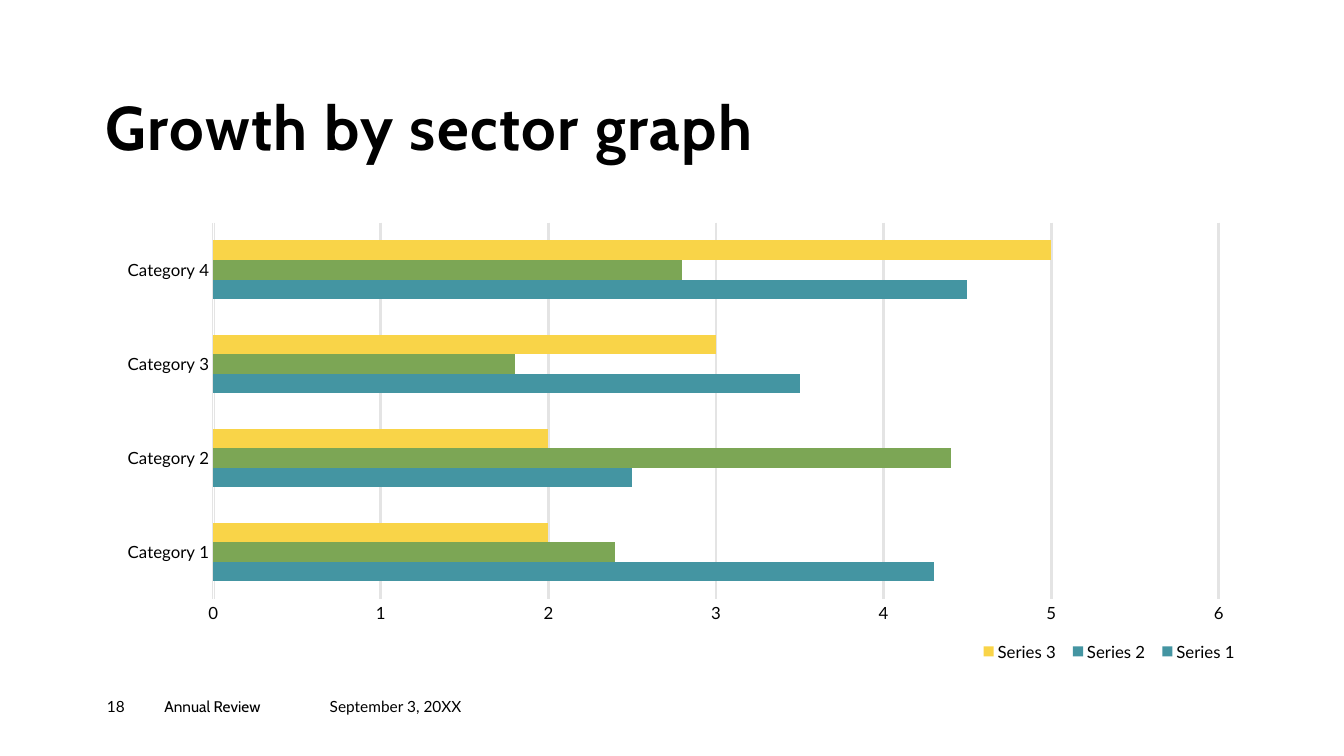
from dataclasses import dataclass

from lxml import etree
from pptx import Presentation
from pptx import util as u
from pptx.chart.data import CategoryChartData
from pptx.dml.color import RGBColor
from pptx.enum import chart as ch, text
from pptx.oxml import ns

BLACK, WHITE, GRID = "000000", "FFFFFF", "E4E4E4"
HEADING, BODY = "Cabin", "Lato"
CATEGORIES = [f"Category {n}" for n in range(1, 5)]


@dataclass
class Sector:
    name: str
    values: tuple[float, ...]
    color: str
    bar_color: str | None = None  # differs from the legend key when given


@dataclass
class FooterItem:
    words: str
    left: float
    width: float
    font: str


SECTORS = [
    Sector("Series 1", (4.3, 2.5, 3.5, 4.5), "4495A2"),
    Sector("Series 2", (2.4, 4.4, 1.8, 2.8), "4495A2", "7CA655"),
    Sector("Series 3", (2, 2, 3, 5), "F9D448"),
]
FOOTER = [
    FooterItem("18", 1.06, 0.57, BODY),
    FooterItem("Annual Review", 1.63, 1.64, HEADING),
    FooterItem("September 3, 20XX", 3.27, 1.44, BODY),
]


def rgb(value: str) -> RGBColor:
    return RGBColor.from_string(value)


def format_font(font, name: str, size: float, **values) -> None:
    for key, value in {"name": name, "size": u.Pt(size), **values}.items():
        setattr(font, key, value)
    font.color.rgb = rgb(BLACK)


def format_frame(tf, anchor) -> None:
    values = dict(margin_left=0, margin_top=0, margin_right=0, margin_bottom=0,
                  word_wrap=True, auto_size=text.MSO_AUTO_SIZE.NONE,
                  vertical_anchor=anchor)
    for key, value in values.items():
        setattr(tf, key, value)


def paint(fill, color: str) -> None:
    fill.solid()
    fill.fore_color.rgb = rgb(color)


def set_layout(element, after: str, x: float, y: float, w: float, h: float,
               inner: bool = False) -> None:
    """Place a chart part by fractions of the chart's size."""
    for old in element.findall(ns.qn("c:layout")):
        element.remove(old)
    layout = etree.Element(ns.qn("c:layout"))
    manual = etree.SubElement(layout, ns.qn("c:manualLayout"))
    values = {"layoutTarget": "inner"} if inner else {}
    values |= {"xMode": "edge", "yMode": "edge", "x": x, "y": y, "w": w, "h": h}
    for key, value in values.items():
        etree.SubElement(manual, ns.qn(f"c:{key}")).set("val", str(value))
    previous = element.find(ns.qn(after)) if after else None
    element.insert(0 if previous is None else element.index(previous) + 1, layout)


def add_title(s, words: str) -> None:
    sp = s.shapes.title
    for key, value in dict(left=1.05, top=0.22, width=11.32, height=1.41).items():
        setattr(sp, key, u.Inches(value))
    tf = sp.text_frame
    format_frame(tf, text.MSO_ANCHOR.BOTTOM)
    p = tf.paragraphs[0]
    p.alignment, p.line_spacing = text.PP_ALIGN.LEFT, 0.9
    r = p.add_run()
    r.text = words
    format_font(r.font, HEADING, 44, bold=True)
    r._r.get_or_add_rPr().set("spc", "100")


def add_growth_chart(s) -> None:
    data = CategoryChartData()
    data.categories = CATEGORIES
    for sector in SECTORS:
        data.add_series(sector.name, sector.values)
    chart = s.shapes.add_chart(
        ch.XL_CHART_TYPE.BAR_CLUSTERED, u.Inches(1.04), u.Inches(2.12),
        u.Inches(11.32), u.Inches(4.5), data).chart
    chart.has_title = False
    format_font(chart.font, BODY, 10)

    # Bars
    plot = chart.plots[0]
    plot.gap_width, plot.overlap, plot.vary_by_categories = 182, 0, False
    for series, sector in zip(plot.series, SECTORS):
        paint(series.format.fill, sector.color)
        if sector.bar_color:
            for i in range(len(sector.values)):
                paint(series.points[i].format.fill, sector.bar_color)

    # Axes and grid
    for axis in (chart.category_axis, chart.value_axis):
        axis.major_tick_mark = axis.minor_tick_mark = ch.XL_TICK_MARK.NONE
        format_font(axis.tick_labels.font, BODY, 12)
    cat_line = chart.category_axis.format.line
    paint(cat_line.fill, WHITE)
    cat_line.width = u.Pt(0.75)
    values = chart.value_axis
    values.minimum_scale, values.maximum_scale, values.major_unit = 0, 6, 1
    values.format.line.fill.background()
    values.has_major_gridlines = True
    grid_line = values.major_gridlines.format.line
    paint(grid_line.fill, GRID)
    grid_line.width = u.Pt(2)

    # Legend and plot position
    chart.has_legend = True
    legend = chart.legend
    legend.position = ch.XL_LEGEND_POSITION.BOTTOM
    legend.include_in_layout = False
    format_font(legend.font, BODY, 12)
    set_layout(legend._element, "c:legendPos", 0.76, 0.93, 0.24, 0.07)
    plot_area = chart._chartSpace.chart.plotArea
    set_layout(plot_area, "", 0.095, 0.02, 0.881, 0.83, inner=True)


def add_footer_item(s, item: FooterItem) -> None:
    sp = s.shapes.add_textbox(u.Inches(item.left), u.Inches(6.92),
                              u.Inches(item.width), u.Inches(0.27))
    tf = sp.text_frame
    format_frame(tf, text.MSO_ANCHOR.TOP)
    r = tf.paragraphs[0].add_run()
    r.text = item.words
    format_font(r.font, item.font, 11)


def main() -> None:
    prs = Presentation()
    prs.slide_width, prs.slide_height = u.Inches(13.33), u.Inches(7.5)
    s = prs.slides.add_slide(prs.slide_layouts[5])
    paint(s.background.fill, WHITE)
    add_title(s, "Growth by sector graph")
    add_growth_chart(s)
    for item in FOOTER:
        add_footer_item(s, item)
    prs.save("out.pptx")


if __name__ == "__main__":
    main()
